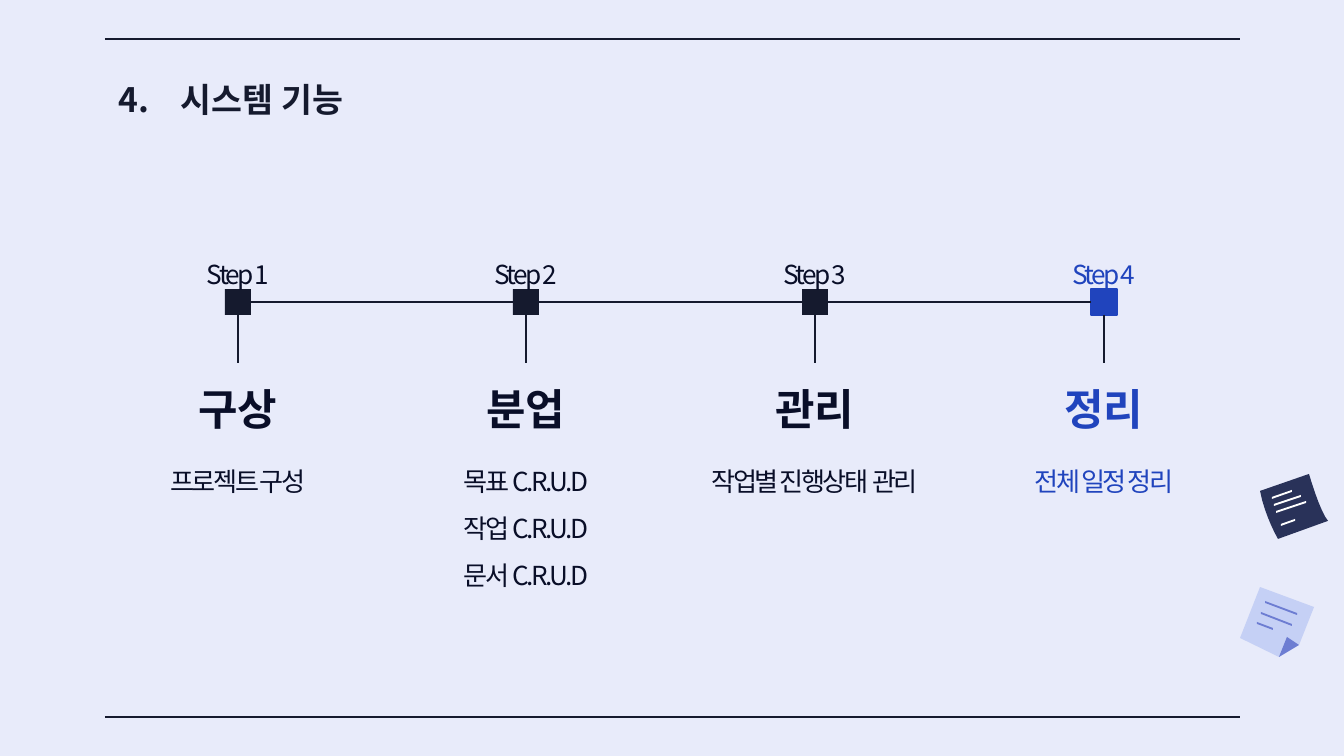
from pptx import Presentation
from pptx.dml.color import RGBColor as Rgb
from pptx.enum.shapes import MSO_CONNECTOR as Link, MSO_SHAPE as Form
from pptx.enum.text import MSO_ANCHOR as Anchor, PP_ALIGN as Align
from pptx.oxml.xmlchemy import OxmlElement as Node
from pptx.util import Pt

PX = 914400 / 134.4
FONT = "Noto Sans CJK KR"
COLORS = {
    "back": "E8EBFA", "dark": "151A2E", "ink": "090E28", "blue": "2044BD",
    "sheet": "C5D0F5", "fold": "6D7DD2", "navy": "293259", "white": "FFFFFF",
}
STEPS = [
    ("구상", ["프로젝트 구성"]),
    ("분업", ["목표 C.R.U.D", "작업 C.R.U.D", "문서 C.R.U.D"]),
    ("관리", ["작업별 진행상태  관리"]),
    ("정리", ["전체 일정 정리"]),
]


def px(n):
    return round(n * PX)


def tone(name):
    return Rgb.from_string(COLORS[name])


def curve(a, b, c, d, parts=8):
    spots = []
    for i in range(parts + 1):
        t = i / parts
        u = 1 - t
        mix = (u**3, 3 * u * u * t, 3 * u * t * t, t**3)
        spots.append(tuple(sum(m * p[k] for m, p in zip(mix, (a, b, c, d)))
                           for k in (0, 1)))
    return spots


class Page:
    def __init__(self, deck):
        self.slide = deck.slides.add_slide(deck.slide_layouts[6])
        self.shapes = self.slide.shapes
        fill = self.slide.background.fill
        fill.solid()
        fill.fore_color.rgb = tone("back")

    def paint(self, shape, color, edge=False):
        shape.shadow.inherit = False
        shape.fill.solid()
        shape.fill.fore_color.rgb = tone(color)
        if edge:
            shape.line.color.rgb = tone(color)
            shape.line.width = Pt(0.75)
        else:
            shape.line.fill.background()
        return shape

    def box(self, x, y, w, h, color, edge=False):
        shape = self.shapes.add_shape(Form.RECTANGLE, px(x), px(y), px(w), px(h))
        return self.paint(shape, color, edge)

    def poly(self, spots, color):
        pen = self.shapes.build_freeform(*map(px, spots[0]))
        pen.add_line_segments([tuple(map(px, s)) for s in spots[1:]])
        return self.paint(pen.convert_to_shape(), color)

    def rule(self, x1, y1, x2, y2, width=0.75):
        line = self.shapes.add_connector(Link.STRAIGHT, px(x1), px(y1), px(x2), px(y2))
        line.line.color.rgb = tone("dark")
        line.line.width = Pt(width)
        line._element.spPr.append(Node("a:effectLst"))
        return line

    def join(self, start, side, end, port):
        line = self.rule(0, 0, 0, 0)
        line.begin_connect(start, side)
        line.end_connect(end, port)

    def text(self, text, x, y, w, h, size=14, color="ink", bold=False,
             align=Align.CENTER, anchor=Anchor.TOP, gap=None, track=0, hang=0):
        shape = self.shapes.add_textbox(px(x), px(y), px(w), px(h))
        frame = shape.text_frame
        frame.word_wrap = True
        frame.vertical_anchor = anchor
        frame.margin_left = frame.margin_right = px(13)
        frame.margin_top = frame.margin_bottom = px(13)
        frame.text = text
        for para in frame.paragraphs:
            para.alignment = align
            if gap:
                para.line_spacing = gap
            if hang:
                props = para._p.get_or_add_pPr()
                props.set("marL", str(px(hang)))
                props.set("indent", str(-px(hang)))
            for run in para.runs:
                font = run.font
                font.size, font.bold, font.name = Pt(size), bold, FONT
                font.color.rgb = tone(color)
                east = Node("a:ea")
                east.set("typeface", FONT)
                run._r.rPr.append(east)
                if track:
                    run._r.rPr.set("spc", str(round(track * 100)))
        return shape

    def notes(self):
        self.poly([(1260, 587), (1240, 638), (1279, 657), (1299, 645), (1314, 607)], "sheet")
        self.poly([(1287, 637), (1279, 657), (1299, 645)], "fold")
        for x, y, w, h in [(1265, 601, 32, 12), (1261, 612, 31, 12), (1257, 622, 16, 6)]:
            self.strip(x, y, w, h, "fold")
        left = curve((1260, 491), (1265, 517), (1278, 539), (1278, 539))
        right = curve((1328, 521), (1320, 512), (1309, 474), (1309, 474))
        self.poly(left + right, "navy")
        for x, y, w, h in [(1272, 497, 20, -7), (1274, 504, 27, -9),
                           (1276, 511, 30, -10), (1281, 524, 14, -5)]:
            self.strip(x, y, w, h, "white")

    def strip(self, x, y, w, h, color):
        self.poly([(x, y), (x, y + 2), (x + w, y + h + 2), (x + w, y + h)], color)

    def steps(self):
        last = None
        small = dict(gap=1.5, track=-1.4)
        for i, (name, lines) in enumerate(STEPS):
            mid = 238 + 866 * i // 3
            final = i == len(STEPS) - 1
            color = "blue" if final else "ink"
            mark = self.box(mid - 13, 289, 26, 26, "blue" if final else "dark", edge=final)
            head = self.text(name, mid - 133, 363, 266, 84, size=23, color=color,
                             bold=True, anchor=Anchor.BOTTOM)
            self.text("\n".join(lines), mid - 133, 437, 266, 47, color=color, **small)
            self.text(f"Step {i + 1}", mid - 76, 230, 152, 47, color=color, **small)
            self.join(mark, 2, head, 0)
            if last:
                self.join(last, 3, mark, 1)
            last = mark


def main():
    deck = Presentation()
    deck.slide_width, deck.slide_height = px(1344), px(756)
    page = Page(deck)
    for y in (717, 39):
        page.rule(105, y, 1240, y, width=1.5)
    page.notes()
    page.steps()
    page.text("4.\t시스템 기능", 106, 66, 1133, 84, size=18, color="dark",
              bold=True, align=Align.LEFT, hang=62)
    deck.save("out.pptx")


if __name__ == "__main__":
    main()
